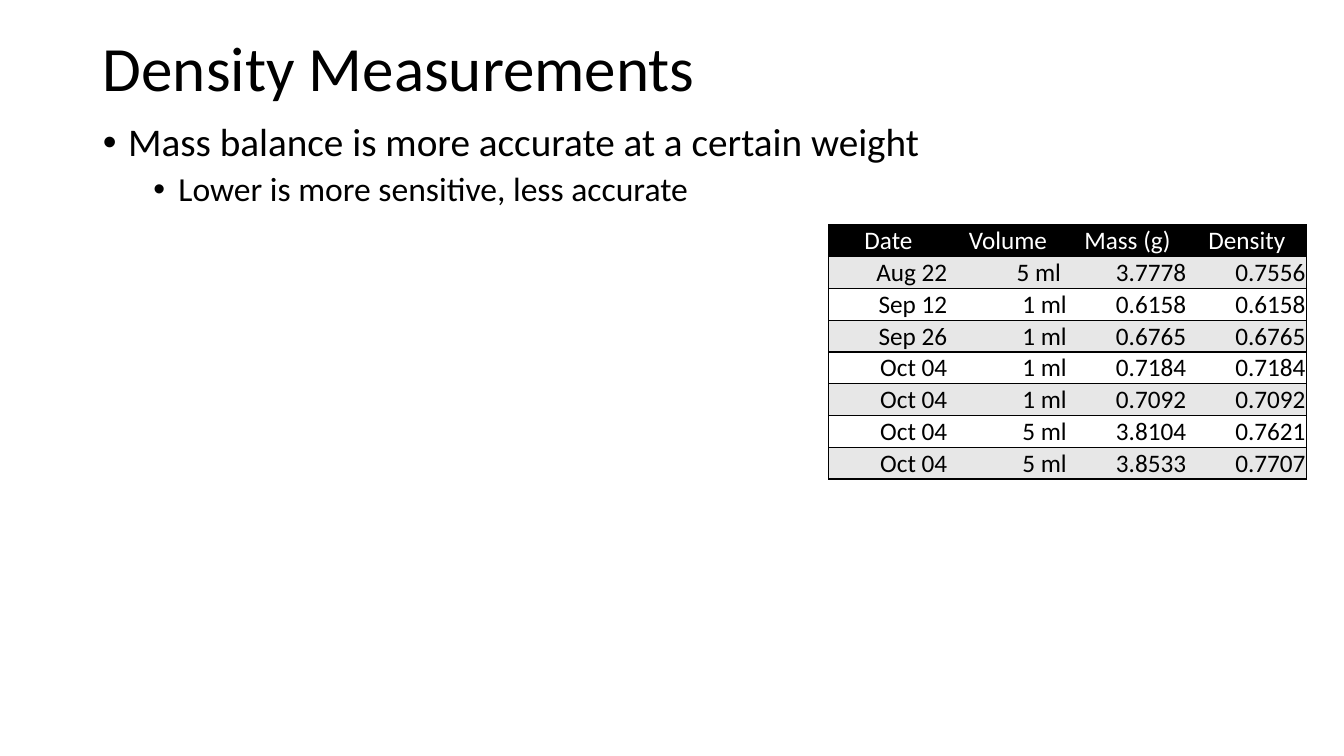
from pptx import Presentation
from pptx.dml.color import RGBColor
from pptx.enum.text import MSO_ANCHOR as Anchor, MSO_AUTO_SIZE as AutoSize, PP_ALIGN as Align
from pptx.oxml.ns import qn
from pptx.util import Inches, Pt
from lxml.etree import SubElement

THEME = {
    "font": "Calibri",
    "black": "000000", "white": "FFFFFF", "band": "E7E7E7",
    "title": 45, "bullet": 28, "sub_bullet": 24, "cell": 18,
}


def write(para, text, size, color="black", align=Align.LEFT, spacing=None, before=0):
    """Write one formatted span into a paragraph."""
    span = para.add_run()
    span.text = text
    span.font.name = THEME["font"]
    span.font.size = Pt(THEME[size])
    span.font.color.rgb = RGBColor.from_string(THEME[color])
    para.alignment = align
    para.line_spacing = spacing
    para.space_before = Pt(before)


def add_border(cell, side, visible):
    """Give one side of a cell a thin black line, or none."""
    line = SubElement(cell._tc.get_or_add_tcPr(), qn(f"a:ln{side}"), w=str(Pt(1)))
    if visible:
        fill = SubElement(line, qn("a:solidFill"))
        SubElement(fill, qn("a:srgbClr"), val=THEME["black"])
    else:
        SubElement(line, qn("a:noFill"))


deck = Presentation()
deck.slide_width, deck.slide_height = Inches(13.33), Inches(7.5)
page = deck.slides.add_slide(deck.slide_layouts[1])

# Title and body placeholders
title, body = page.shapes.title, page.placeholders[1]
places = [
    (title, (0.92, 0.4, 11.5, 0.66), Anchor.BOTTOM),
    (body, (0.92, 1.17, 11.91, 5.58), Anchor.TOP),
]
for box, place, anchor in places:
    box.left, box.top, box.width, box.height = map(Inches, place)
    box.text_frame.word_wrap = True
    box.text_frame.auto_size = AutoSize.NONE
    box.text_frame.vertical_anchor = anchor

write(title.text_frame.paragraphs[0], "Density Measurements", "title", spacing=0.7)

bullets = [
    ("Mass balance is more accurate at a certain weight", "bullet", 0.25, 10),
    ("Lower is more sensitive, less accurate", "sub_bullet", 0.75, 5),
]
for level, (text, size, indent, before) in enumerate(bullets):
    para = body.text_frame.paragraphs[0] if level == 0 else body.text_frame.add_paragraph()
    para.level = level
    write(para, text, size, spacing=0.9, before=before)
    properties = para._p.get_or_add_pPr()
    properties.set("marL", str(Inches(indent)))
    properties.set("indent", str(Inches(-0.25)))
    SubElement(properties, qn("a:buChar"), char="•")

# Density table
measurements = [
    ("Date", "Volume", "Mass (g)", "Density"),
    ("Aug 22", "5 ml ", "3.7778", "0.7556"),
    ("Sep 12", "1 ml", "0.6158", "0.6158"),
    ("Sep 26", "1 ml", "0.6765", "0.6765"),
    ("Oct 04", "1 ml", "0.7184", "0.7184"),
    ("Oct 04", "1 ml", "0.7092", "0.7092"),
    ("Oct 04", "5 ml", "3.8104", "0.7621"),
    ("Oct 04", "5 ml", "3.8533", "0.7707"),
]
row_count, column_count = len(measurements), len(measurements[0])
table = page.shapes.add_table(
    row_count, column_count, Inches(8.22), Inches(2.23), Inches(4.74), Inches(2.48)
).table

for row, values in enumerate(measurements):
    header = row == 0
    fill = "black" if header else "band" if row % 2 else "white"
    for column, value in enumerate(values):
        cell = table.cell(row, column)
        cell.margin_left = cell.margin_right = cell.margin_top = Inches(0.01)
        cell.margin_bottom = 0
        cell.vertical_anchor = Anchor.BOTTOM
        add_border(cell, "L", column == 0)
        add_border(cell, "R", column == column_count - 1)
        add_border(cell, "T", True)
        add_border(cell, "B", True)
        cell.fill.solid()
        cell.fill.fore_color.rgb = RGBColor.from_string(THEME[fill])
        para = cell.text_frame.paragraphs[0]
        write(para, value, "cell", color="white" if header else "black",
              align=Align.CENTER if header else Align.RIGHT)
        para.runs[0].font.bold = False

deck.save("out.pptx")
